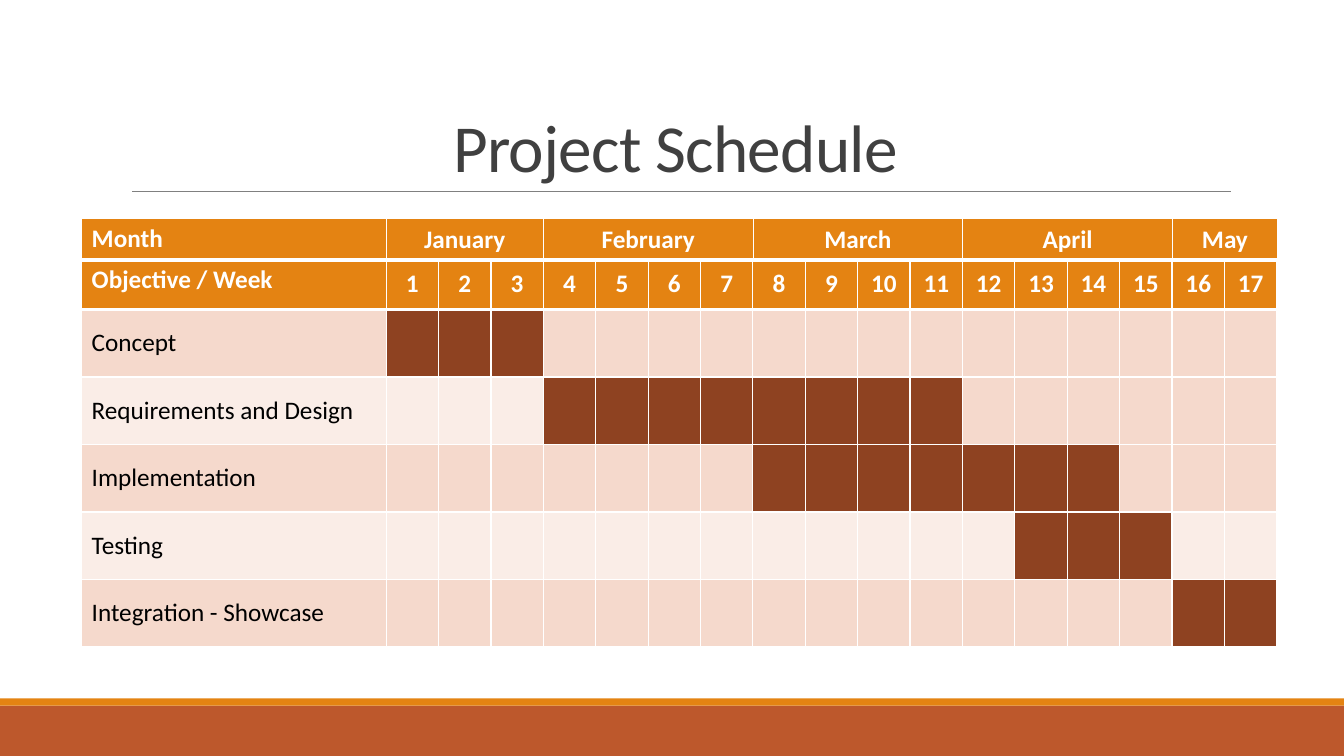
from pptx import Presentation
from pptx.dml.color import RGBColor
from pptx.enum.shapes import MSO_CONNECTOR, MSO_SHAPE
from pptx.enum.text import MSO_ANCHOR, PP_ALIGN
from pptx.oxml.ns import qn
from pptx.util import Inches, Pt
from lxml import etree

LINE = MSO_CONNECTOR.STRAIGHT
RECT = MSO_SHAPE.RECTANGLE
TOP, MIDDLE, BOTTOM = MSO_ANCHOR.TOP, MSO_ANCHOR.MIDDLE, MSO_ANCHOR.BOTTOM
LEFT, CENTER = PP_ALIGN.LEFT, PP_ALIGN.CENTER

FONT = "Calibri"
WHITE, BLACK, GRAY, RULE = "FFFFFF", "000000", "404040", "808080"
ORANGE, RUST, BAR = "E48312", "BD582C", "8E4221"
ROSE, PALE = "F5D9CC", "FAEDE7"

TITLE = "Project Schedule"
MONTHS = [("January", 3), ("February", 4), ("March", 4), ("April", 4), ("May", 2)]
TASKS = [
    ("Concept", 1, 3, ROSE, ROSE),
    ("Requirements and Design", 4, 11, PALE, ROSE),
    ("Implementation", 8, 14, ROSE, ROSE),
    ("Testing", 13, 15, PALE, PALE),
    ("Integration - Showcase", 16, 17, ROSE, ROSE),
]
BANDS = [(7, 0.5, RUST), (6.93, 0.07, ORANGE)]
WEEKS = sum(count for _, count in MONTHS)
WIDE, HIGH = 13.33, 7.5
EDGE, LABEL, WEEK = 0.81, 3.02, 0.52


def color(code):
    return RGBColor.from_string(code)


def write(para, text, size, code, bold=False):
    run = para.add_run()
    run.text = text
    font = run.font
    font.name, font.size, font.bold = FONT, Pt(size), bold
    font.color.rgb = color(code)
    return run


def paint(cell, fill, above=1, below=1):
    props = cell._tc.get_or_add_tcPr()
    for tag, width in (("lnL", 1), ("lnR", 1), ("lnT", above), ("lnB", below)):
        line = etree.SubElement(props, qn("a:" + tag), w=str(Pt(width)))
        solid = etree.SubElement(line, qn("a:solidFill"))
        etree.SubElement(solid, qn("a:srgbClr"), val=WHITE)
    cell.fill.solid()
    cell.fill.fore_color.rgb = color(fill)


def label(cell, text, code, bold, align, anchor):
    cell.vertical_anchor = anchor
    para = cell.text_frame.paragraphs[0]
    para.alignment = align
    write(para, text, 18, code, bold)


def grid(slide, top, cols, rows):
    frame = slide.shapes.add_table(
        len(rows), len(cols), Inches(EDGE), Inches(top),
        Inches(sum(cols)), Inches(sum(rows)))
    table = frame.table
    table.first_row = table.horz_banding = False
    for col, width in zip(table.columns, cols):
        col.width = Inches(width)
    for row, height in zip(table.rows, rows):
        row.height = Inches(height)
    return table


def head(table, texts):
    for i, text in enumerate(texts):
        cell = table.cell(0, i)
        paint(cell, ORANGE, below=3)
        align, anchor = (CENTER, MIDDLE) if i else (LEFT, TOP)
        label(cell, text, WHITE, True, align, anchor)


def frame(slide):
    for top, height, code in BANDS:
        band = slide.shapes.add_shape(
            RECT, 0, Inches(top), Inches(WIDE), Inches(height))
        band.shadow.inherit = False
        band.fill.solid()
        band.fill.fore_color.rgb = color(code)
        band.line.fill.background()
    rule = slide.shapes.add_connector(
        LINE, Inches(1.31), Inches(1.9), Inches(12.21), Inches(1.9))
    rule.line.color.rgb = color(RULE)
    rule.line.width = Pt(0.5)
    etree.SubElement(rule._element.spPr, qn("a:effectLst"))


def name(slide):
    title = slide.shapes.title
    title.left, title.top = Inches(1.2), Inches(0.31)
    title.width, title.height = Inches(11), Inches(1.59)
    title.text_frame.vertical_anchor = BOTTOM
    para = title.text_frame.paragraphs[0]
    para.alignment, para.line_spacing = CENTER, 0.85
    run = write(para, TITLE, 48, GRAY)
    run._r.get_or_add_rPr().set("spc", "-50")


def plan(slide):
    table = grid(slide, 2.57, [LABEL] + [WEEK] * WEEKS, [0.5] + [0.67] * len(TASKS))
    head(table, ["Objective / Week"] + [str(n + 1) for n in range(WEEKS)])
    for row, (task, start, end, before, after) in enumerate(TASKS, 1):
        for week in range(WEEKS + 1):
            fill = before if week < start else BAR if week <= end else after
            paint(table.cell(row, week), fill, above=3 if row == 1 else 1)
        label(table.cell(row, 0), task, BLACK, False, LEFT, MIDDLE)
    table = grid(slide, 2.17, [LABEL] + [WEEK * count for _, count in MONTHS], [0.41])
    head(table, ["Month"] + [month for month, _ in MONTHS])


def main():
    deck = Presentation()
    deck.slide_width, deck.slide_height = Inches(WIDE), Inches(HIGH)
    slide = deck.slides.add_slide(deck.slide_layouts[5])
    frame(slide)
    name(slide)
    plan(slide)
    deck.save("out.pptx")


if __name__ == "__main__":
    main()
